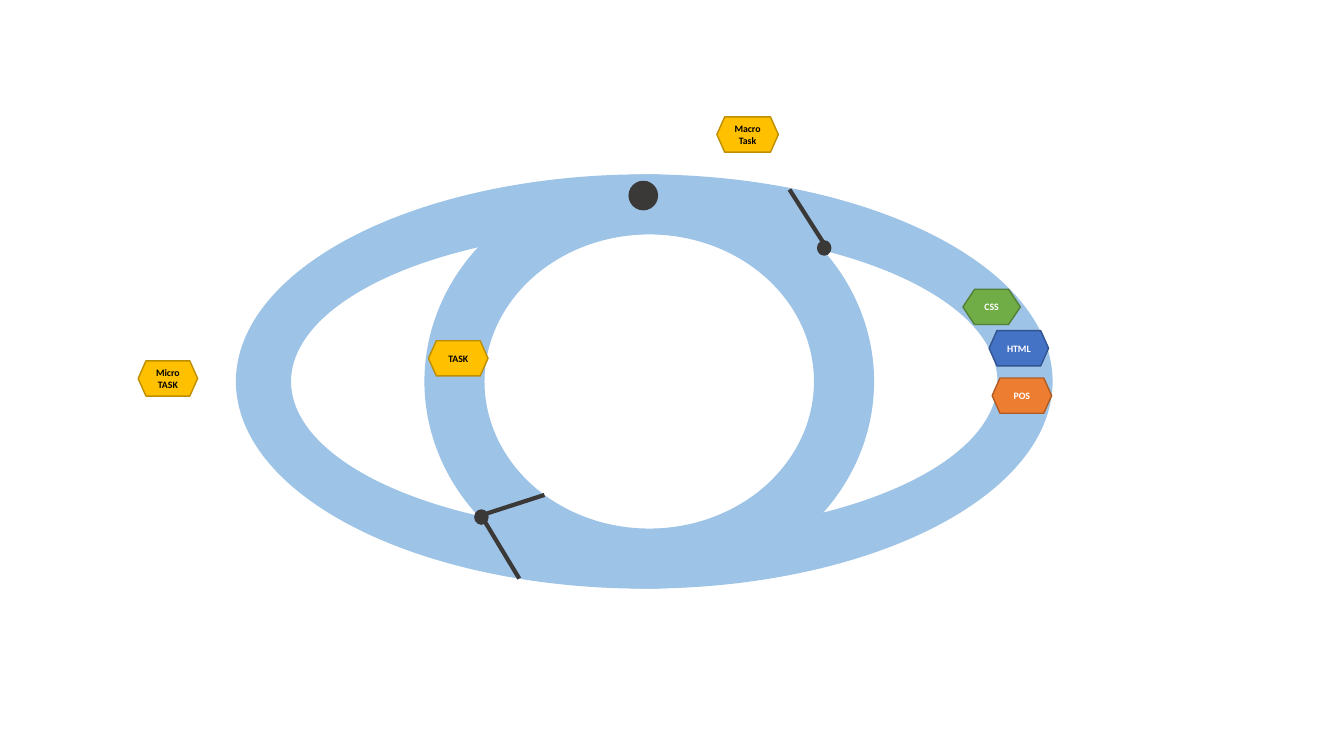
from lxml.etree import SubElement
from pptx import Presentation
from pptx.dml.color import RGBColor
from pptx.enum.shapes import MSO_CONNECTOR, MSO_SHAPE as Preset
from pptx.enum.text import MSO_ANCHOR, PP_ALIGN
from pptx.oxml.ns import qn
from pptx.util import Inches, Pt

TRACK = RGBColor(0x9D, 0xC3, 0xE6)
DARK = RGBColor(0x3B, 0x38, 0x38)
BLACK = RGBColor(0, 0, 0)
WHITE = RGBColor(0xFF, 0xFF, 0xFF)
# Each scheme: fill, outline, text
GREEN = (RGBColor(0x70, 0xAD, 0x47), RGBColor(0x53, 0x80, 0x35), WHITE)
BLUE = (RGBColor(0x44, 0x72, 0xC4), RGBColor(0x32, 0x54, 0x91), WHITE)
ORANGE = (RGBColor(0xED, 0x7D, 0x31), RGBColor(0xAF, 0x5C, 0x24), WHITE)
YELLOW = (RGBColor(0xFF, 0xC0, 0x00), RGBColor(0xBD, 0x8E, 0x00), BLACK)

# Left, top, width, height, ring thickness
RINGS = [(2.34, 1.73, 8.1, 4.11, 0.133), (4.21, 1.73, 4.46, 4.11, 0.145)]
# Start and end of each gate arm
ARMS = [(8.2, 2.46, 7.83, 1.88), (5.15, 5.74, 4.77, 5.11), (5.4, 4.91, 4.78, 5.11)]
# Left, top, width, height: two gate pivots and the loop marker
DOTS = [(8.11, 2.39, 0.13, 0.14), (4.71, 5.06, 0.13, 0.14), (6.24, 1.8, 0.28, 0.28)]
# Label, left, top, width, corner depth, colours
TASKS = [
    ("CSS", 9.55, 2.87, 0.57, 0.333, GREEN),
    ("HTML", 9.81, 3.28, 0.59, 0.222, BLUE),
    ("POS", 9.84, 3.75, 0.59, 0.222, ORANGE),
    ("TASK", 4.25, 3.38, 0.59, 0.222, YELLOW),
    ("Micro\vTASK", 1.37, 3.58, 0.59, 0.222, YELLOW),
    ("Macro Task", 7.11, 1.16, 0.61, 0.222, YELLOW),
]
TASK_HEIGHT = 0.35


def add_preset(page, preset, bounds, fill, outline=None):
    """Add a flat preset shape, outlined only when a colour is given."""
    shape = page.shapes.add_shape(preset, *map(Inches, bounds))
    shape.shadow.inherit = False
    shape.fill.solid()
    shape.fill.fore_color.rgb = fill
    if outline is None:
        shape.line.fill.background()
    else:
        shape.line.color.rgb = outline
        shape.line.width = Pt(1)
    return shape


def add_arm(page, ends):
    """Add one straight gate arm."""
    arm = page.shapes.add_connector(MSO_CONNECTOR.STRAIGHT, *map(Inches, ends))
    arm.line.color.rgb = DARK
    arm.line.width = Pt(3)
    SubElement(arm._element.spPr, qn("a:effectLst"))


def add_task(page, label, left, top, width, corner, colours):
    """Add a labelled task hexagon."""
    fill, outline, ink = colours
    task = add_preset(page, Preset.HEXAGON, (left, top, width, TASK_HEIGHT), fill, outline)
    task.adjustments[0] = corner
    frame = task.text_frame
    frame.word_wrap = True
    frame.vertical_anchor = MSO_ANCHOR.MIDDLE
    frame.margin_left = frame.margin_right = Inches(0.03)
    frame.margin_top = frame.margin_bottom = 0
    frame.text = label
    para = frame.paragraphs[0]
    para.alignment = PP_ALIGN.CENTER
    para.font.name = "Calibri"
    para.font.size = Pt(7)
    para.font.bold = True
    para.font.color.rgb = ink


deck = Presentation()
deck.slide_width, deck.slide_height = Inches(13.33), Inches(7.5)
page = deck.slides.add_slide(deck.slide_layouts[6])

for *bounds, thickness in RINGS:
    ring = add_preset(page, Preset.DONUT, bounds, TRACK)
    ring.adjustments[0] = thickness
for ends in ARMS:
    add_arm(page, ends)
for bounds in DOTS:
    add_preset(page, Preset.OVAL, bounds, DARK, DARK)
for task in TASKS:
    add_task(page, *task)

deck.save("out.pptx")
